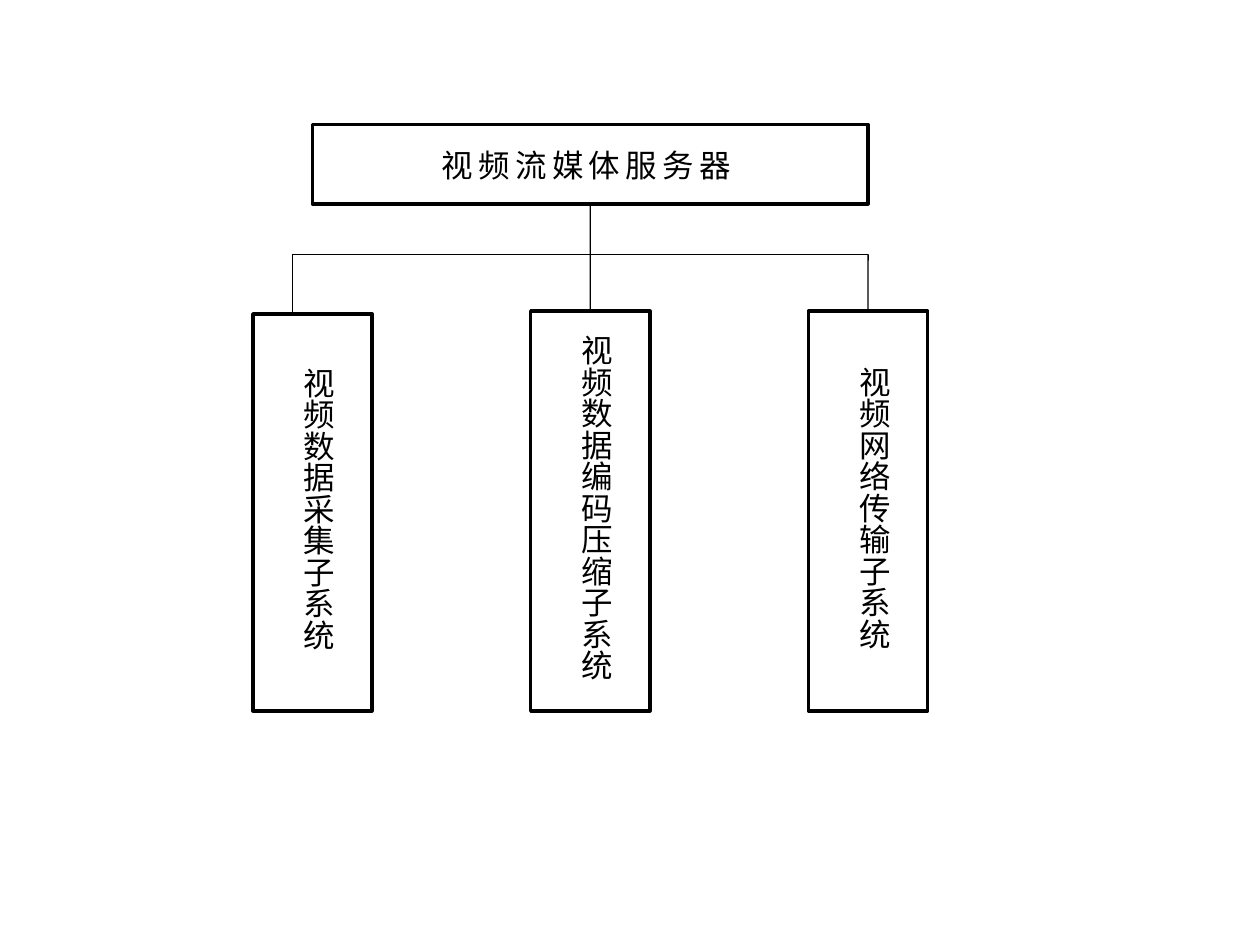
from lxml import etree
from pptx import Presentation, util as u
from pptx.dml.color import RGBColor
from pptx.enum import shapes, text
from pptx.oxml.ns import qn

COLORS = {"ink": "000000"}
INK = RGBColor.from_string(COLORS["ink"])

deck = Presentation()
deck.slide_width, deck.slide_height = u.Cm(25.4), u.Cm(19.05)
page = deck.slides.add_slide(deck.slide_layouts[6])


def add_box(left, top, width, height):
    box = page.shapes.add_shape(
        shapes.MSO_SHAPE.RECTANGLE, u.Cm(left), u.Cm(top), u.Cm(width), u.Cm(height))
    box.shadow.inherit = False
    box.fill.background()
    box.line.color.rgb = INK
    box.line.width = u.Pt(2)
    return box


def add_label(wording, left, top, width, height):
    label = page.shapes.add_textbox(u.Cm(left), u.Cm(top), u.Cm(width), u.Cm(height))
    frame = label.text_frame
    frame.word_wrap = False
    frame.auto_size = text.MSO_AUTO_SIZE.SHAPE_TO_FIT_TEXT
    para = frame.paragraphs[0]
    span = para.add_run()
    span.text = wording
    span.font.name = "Calibri"
    span.font.size = u.Pt(18)
    span.font.color.rgb = INK
    return frame, para, span


# Server box with widely spaced letters
server = add_box(6.3, 2.51, 11.2, 1.6)
frame, para, span = add_label("视频流媒体服务器", 8.66, 2.82, 6.5, 1.02)
span.font._element.set("spc", "300")

# Subsystem boxes: wording, box top, label top, label height
subsystems = [
    ("视频数据采集子系统", 6.33, 7.16, 6.02),
    ("视频数据编码压缩子系统", 6.27, 6.5, 7.32),
    ("视频网络传输子系统", 6.27, 7.14, 6.02),
]
box_bottom = 14.33
subsystem_boxes = []
for index, (wording, top, label_top, label_height) in enumerate(subsystems):
    left = 5.1 + 5.6 * index
    subsystem_boxes.append(add_box(left, top, 2.4, box_bottom - top))
    frame, para, span = add_label(wording, left + 0.56, label_top, 1.27, label_height)
    para.alignment = text.PP_ALIGN.CENTER
    frame._txBody.bodyPr.set("vert", "eaVert")

# Tree lines: from, to, box joined at the end, side of that box
left_x, middle_x, right_x = 5.9, 11.9, 17.5
bus_y = 5.13
tree_lines = [
    ((left_x, bus_y), (right_x, bus_y), None, None),
    ((left_x, bus_y), (left_x, 6.33), None, None),
    ((middle_x, bus_y), (middle_x, 6.27), subsystem_boxes[1], 0),
    ((right_x, bus_y), (right_x, 6.27), subsystem_boxes[2], 0),
    ((middle_x, bus_y), (middle_x, 4.11), server, 2),
]
for start, end, joined_box, side in tree_lines:
    line = page.shapes.add_connector(
        shapes.MSO_CONNECTOR.STRAIGHT, *(u.Cm(value) for value in start + end))
    line.line.color.rgb = INK
    line.line.width = u.Pt(0.75)
    etree.SubElement(line._element.spPr, qn("a:effectLst"))
    if joined_box is not None:
        line.end_connect(joined_box, side)

deck.save("out.pptx")
